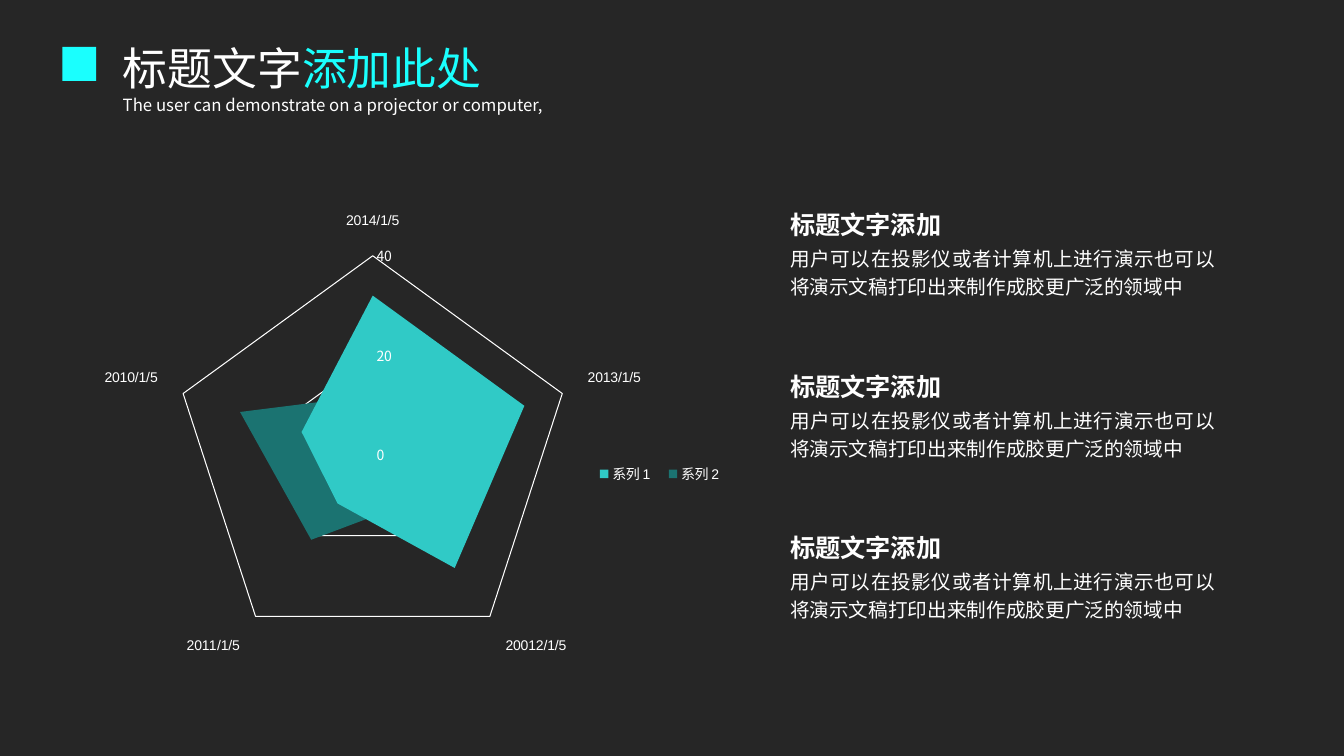
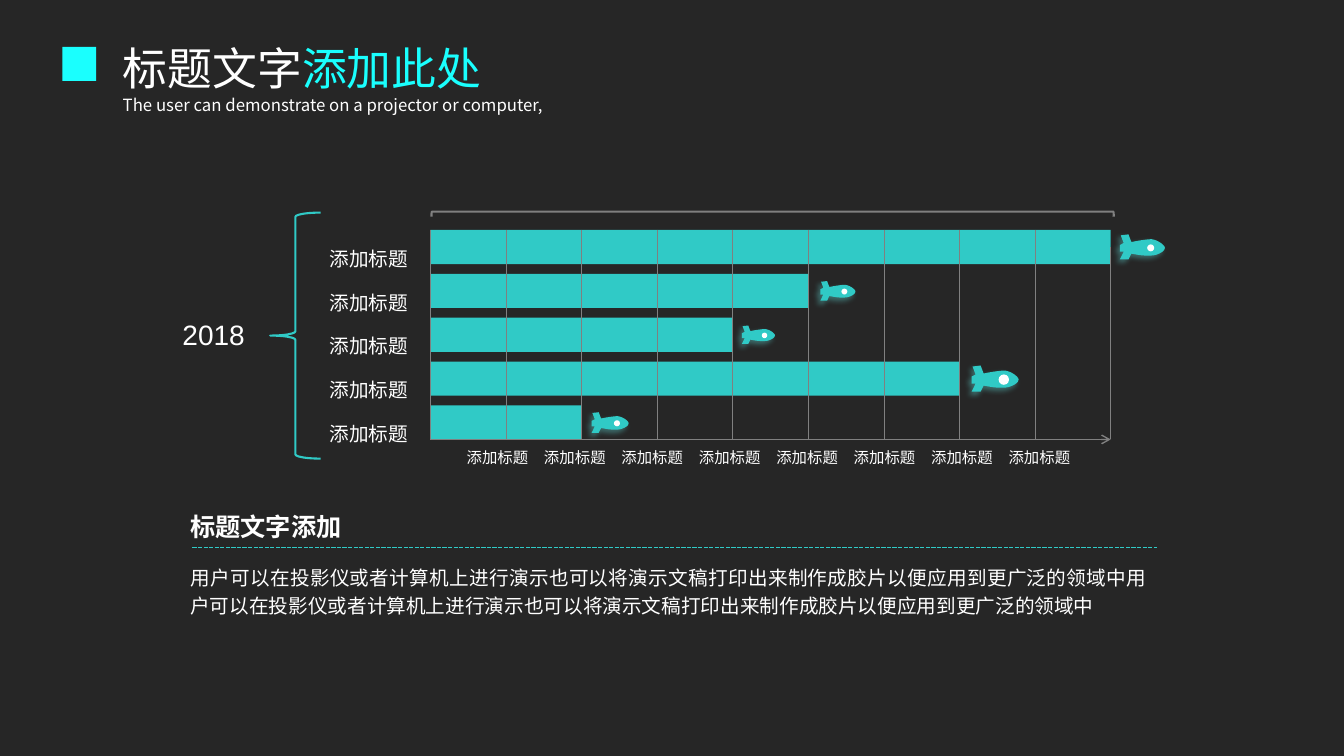
from lxml import etree
from pptx import Presentation
from pptx.chart.data import CategoryChartData
from pptx.dml.color import RGBColor
from pptx.enum.chart import XL_CHART_TYPE as CT, XL_LEGEND_POSITION as LP, XL_TICK_MARK as TM
from pptx.enum.dml import MSO_LINE
from pptx.enum.shapes import MSO_CONNECTOR, MSO_SHAPE as SH
from pptx.enum.text import PP_ALIGN as AL
from pptx.oxml.ns import qn
from pptx.util import Pt

COLORS = {"back": "262626", "text": "FFFFFF", "accent": "1AFFFE", "teal": "30CAC6",
          "dark": "1B7371", "grey": "808080", "axis": "D9D9D9", "glow": "61D9D6"}
CJK = "Noto Sans CJK SC"
LATIN = "Arial"

TITLE = [("标题文字", "text"), ("添加此处", "accent")]
SUBTITLE = "The user can demonstrate on a projector or computer,"
HEADING = "标题文字添加"
LABEL = "添加标题"
SHORT_BODY = "用户可以在投影仪或者计算机上进行演示也可以将演示文稿打印出来制作成胶更广泛的领域中"
LONG_BODY = "用户可以在投影仪或者计算机上进行演示也可以将演示文稿打印出来制作成胶片以便应用到更广泛的领域中" * 2

CATEGORIES = ["2014/1/5", "2013/1/5", "20012/1/5", "2011/1/5", "2010/1/5"]
SERIES = [("系列 1", (32, 32, 28, 12, 15), "teal"),
          ("系列 2", (12, 12, 12, 21, 28), "dark")]
PLOT_AREA = {"layoutTarget": "inner", "xMode": "edge", "yMode": "edge",
             "x": 0.16, "y": 0.12, "w": 0.57, "h": 0.86}
LEGEND_AREA = {"xMode": "edge", "yMode": "edge", "x": 0.75, "y": 0.56, "w": 0.21, "h": 0.06}

BARS = [
    {"units": 9, "gap": 6.5, "rocket": 32.4, "window": 5},
    {"units": 5, "gap": 8.6, "rocket": 25.2, "window": 4.2},
    {"units": 4, "gap": 6.5, "rocket": 23.8, "window": 3.9},
    {"units": 7, "gap": 8.6, "rocket": 33.8, "window": 7.4},
    {"units": 2, "gap": 7.2, "rocket": 26.6, "window": 4.3},
]
LEFT, TOP, BOTTOM = 307.4, 164.2, 313.9
UNIT, ROW, BAR = 54, 31.35, 24.4
COLUMNS, LABELS, LABEL_STEP = 9, 8, 55.3

ROCKET_W, ROCKET_H = 47, 26
ROCKET_START = (12, 8)
ROCKET_CURVES = [((16, 7), (28, 5), (33, 5)), ((39, 6), (43, 9), (45, 11)),
                 ((47, 13), (47, 14), (46, 16)), ((45, 18), (41, 20), (38, 21)),
                 ((35, 22), (33, 22), (28, 22)), ((22, 22), (18, 21), (12, 20))]
ROCKET_TAIL = [(9, 26), (0, 26), (4, 18), (0, 18), (0, 11), (4, 9), (1, 1), (9, 0)]
WINDOW_AT = (32, 14)


def rgb(name):
    return RGBColor.from_string(COLORS[name])


def sub(parent, tag, **attrs):
    return etree.SubElement(parent, qn(tag), {k: str(v) for k, v in attrs.items()})


def set_font(font, size, face=CJK, color="text", bold=False):
    for key, value in {"size": Pt(size), "name": face, "bold": bold}.items():
        setattr(font, key, value)
    font.color.rgb = rgb(color)
    latin = font._element.find(qn("a:latin")) if hasattr(font, "_element") else font._rPr.find(qn("a:latin"))
    ea = etree.Element(qn("a:ea"), typeface=CJK)
    latin.addnext(ea)


def add_text(s, box, runs, size, face=CJK, bold=False, wrap=True, **para):
    tf = s.shapes.add_textbox(*map(Pt, box)).text_frame
    tf.word_wrap = wrap
    p = tf.paragraphs[0]
    for key, value in para.items():
        setattr(p, key, value)
    for text, color in runs:
        r = p.add_run()
        r.text = text
        set_font(r.font, size, face, color, bold)


def paint(sp, fill=None, line=None, width=1):
    if fill:
        sp.fill.solid()
        sp.fill.fore_color.rgb = rgb(fill)
    else:
        sp.fill.background()
    if line:
        sp.line.color.rgb = rgb(line)
        sp.line.width = Pt(width)
    else:
        sp.line.fill.background()
    sp.shadow.inherit = False
    return sp


def add_shape(s, kind, box, **style):
    return paint(s.shapes.add_shape(kind, *map(Pt, box)), **style)


def add_line(s, x1, y1, x2, y2, color="grey", width=0.5, dash=None, arrow=False):
    cn = s.shapes.add_connector(MSO_CONNECTOR.STRAIGHT, *map(Pt, (x1, y1, x2, y2)))
    cn.line.color.rgb = rgb(color)
    cn.line.width = Pt(width)
    if dash:
        cn.line.dash_style = dash
    if arrow:
        sub(cn.line._get_or_add_ln(), "a:tailEnd", type="arrow")
    sub(cn._element.spPr, "a:effectLst")


def add_block(s, x, y, width, body, body_gap):
    style = {"face": LATIN, "alignment": AL.JUSTIFY, "line_spacing": 1.2}
    add_text(s, (x, y, 176.4, 31.7), [(HEADING, "text")], 18, bold=True, **style)
    add_text(s, (x, y + body_gap, width, 48.2), [(body, "text")], 14, **style)


def add_base(prs):
    s = prs.slides.add_slide(prs.slide_layouts[6])
    s.background.fill.solid()
    s.background.fill.fore_color.rgb = rgb("back")
    add_text(s, (80.6, 25.9, 351.4, 46.1), TITLE, 32)
    add_text(s, (80.6, 61.9, 476.6, 22.3), [(SUBTITLE, "text")], 12, line_spacing=1.14)
    add_shape(s, SH.RECTANGLE, (44.6, 33.6, 24.2, 24.2), fill="accent")
    return s


def set_layout(parent, index, values):
    for old in parent.findall(qn("c:layout")):
        parent.remove(old)
    layout = etree.Element(qn("c:layout"))
    manual = sub(layout, "c:manualLayout")
    for key, value in values.items():
        sub(manual, "c:" + key, val=value)
    parent.insert(index, layout)


def add_radar(s):
    data = CategoryChartData()
    data.categories = CATEGORIES
    for name, values, _ in SERIES:
        data.add_series(name, values)
    chart = s.shapes.add_chart(CT.RADAR_FILLED, *map(Pt, (43.9, 141.8, 499.7, 333.4)), data).chart
    chart.has_title = False
    set_font(chart.font, 10)
    plot = chart.plots[0]
    plot.vary_by_categories = False
    for series, (_, _, color) in zip(plot.series, SERIES):
        series.format.fill.solid()
        series.format.fill.fore_color.rgb = rgb(color)
        series.format.line.fill.background()
    cat, val = chart.category_axis, chart.value_axis
    for axis in (cat, val):
        axis.major_tick_mark = axis.minor_tick_mark = TM.NONE
    cat.has_major_gridlines = False
    set_font(cat.tick_labels.font, 10, LATIN)
    cat.format.line.color.rgb = rgb("axis")
    cat.format.line.width = Pt(0.75)
    for key, value in {"minimum_scale": 0, "maximum_scale": 40, "major_unit": 20,
                       "has_major_gridlines": True}.items():
        setattr(val, key, value)
    val.format.line.fill.background()
    val.major_gridlines.format.line.color.rgb = rgb("text")
    val.major_gridlines.format.line.width = Pt(0.75)
    chart.has_legend = True
    chart.legend.position = LP.RIGHT
    chart.legend.include_in_layout = False
    set_font(chart.legend.font, 10, LATIN)
    set_layout(chart._chartSpace.chart.plotArea, 0, PLOT_AREA)
    set_layout(chart.legend._element, 1, LEGEND_AREA)


def rocket_outline(steps=8):
    points, start = [ROCKET_START], ROCKET_START
    for a, b, end in ROCKET_CURVES:
        for i in range(1, steps + 1):
            t = i / steps
            u = 1 - t
            points.append(tuple(u**3 * p0 + 3 * u * u * t * p1 + 3 * u * t * t * p2 + t**3 * p3
                                for p0, p1, p2, p3 in zip(start, a, b, end)))
        start = end
    return points + ROCKET_TAIL


def add_rocket(s, x, middle, width, window):
    k = width / ROCKET_W
    y = middle - ROCKET_H * k / 2
    points = [(Pt(x + px * k), Pt(y + py * k)) for px, py in rocket_outline()]
    builder = s.shapes.build_freeform(*points[0])
    builder.add_line_segments(points[1:], close=True)
    body = paint(builder.convert_to_shape(), fill="teal")
    shadow = sub(body._element.spPr.find(qn("a:effectLst")), "a:outerShdw", blurRad=Pt(4),
                 dist=Pt(3), dir=135 * 60000, algn="tr", rotWithShape=0)
    sub(sub(shadow, "a:srgbClr", val=COLORS["glow"]), "a:alpha", val=40000)
    wx, wy = WINDOW_AT
    add_shape(s, SH.OVAL, (x + wx * k - window / 2, y + wy * k - window / 2, window, window),
              fill="text")


def radar_slide(prs):
    s = add_base(prs)
    add_radar(s)
    for i in range(3):
        add_block(s, 557.3, 141.8 + i * 115.4, 317.5, SHORT_BODY, 27.8)


def rocket_slide(prs):
    s = add_base(prs)
    right = LEFT + COLUMNS * UNIT
    add_shape(s, SH.LEFT_BRACE, (193, 151.9, 36, 175.7), line="teal", width=1.5)
    add_text(s, (110.9, 223.2, 83.5, 31.7), [("2018", "text")], 20, LATIN, alignment=AL.CENTER)
    for i, bar in enumerate(BARS):
        y, length = TOP + i * ROW, bar["units"] * UNIT
        add_text(s, (228.2, y, 71.3, 32.4), [(LABEL, "text")], 14, wrap=False, line_spacing=1.5)
        add_shape(s, SH.RECTANGLE, (LEFT, y, length, BAR), fill="teal")
        add_rocket(s, LEFT + length + bar["gap"], y + BAR / 2, bar["rocket"], bar["window"])
    for i in range(COLUMNS + 1):
        x = LEFT + i * UNIT
        start = TOP + BAR / 2 if i == COLUMNS else TOP
        add_line(s, x, start, x, BOTTOM, width=0.5 if i else 1)
    add_line(s, LEFT, BOTTOM, right, BOTTOM, width=1, arrow=True)
    span, depth = 487.4, 3.6
    bracket = add_shape(s, SH.RIGHT_BRACKET, (551.9 - depth / 2, 153 - span / 2, depth, span),
                        line="grey", width=1.5)
    bracket.rotation = 270
    for i in range(LABELS):
        add_text(s, (326.2 + i * LABEL_STEP, 316.8, 59, 20.9), [(LABEL, "text")], 11, wrap=False)
    add_line(s, 137.5, 391, 826.6, 391, "teal", 1, MSO_LINE.SQUARE_DOT)
    add_block(s, 128.9, 357.1, 697.7, LONG_BODY, 40.3)


def main():
    prs = Presentation()
    prs.slide_width, prs.slide_height = Pt(960), Pt(540)
    radar_slide(prs)
    rocket_slide(prs)
    prs.save("out.pptx")


if __name__ == "__main__":
    main()
